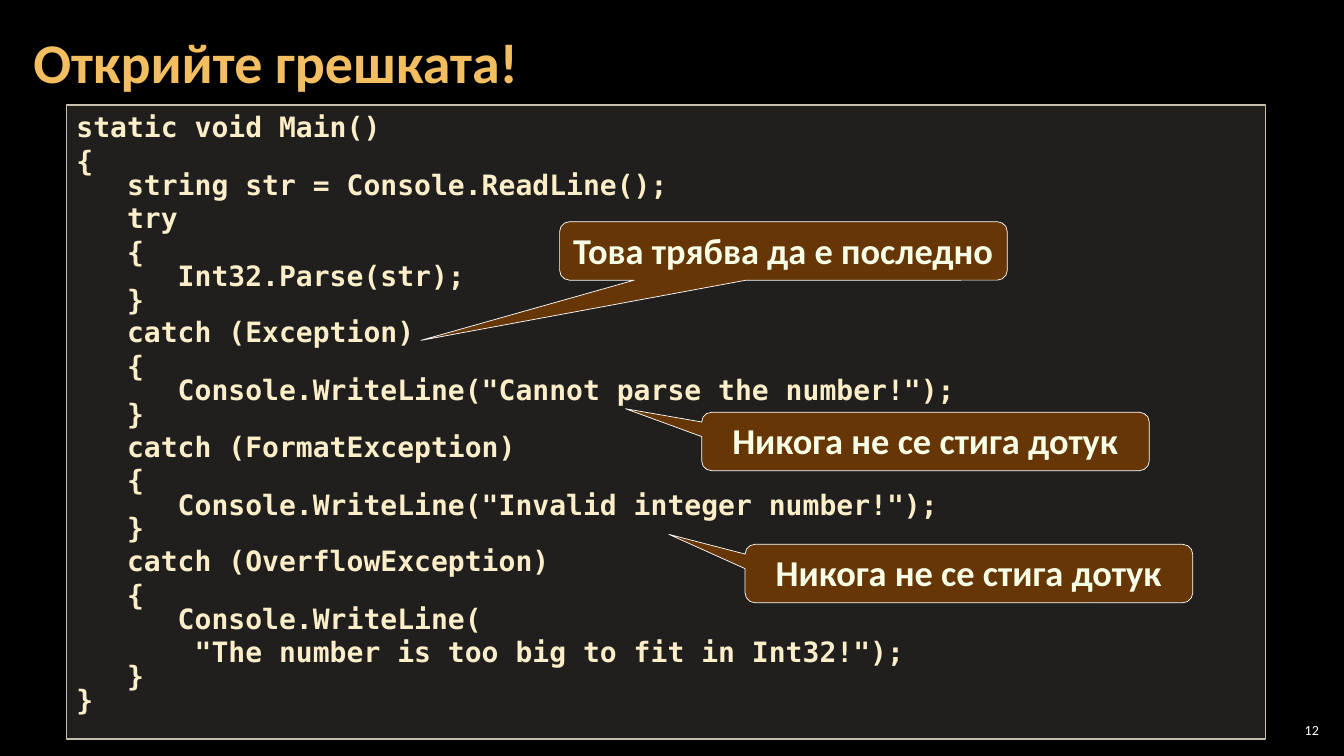
from dataclasses import dataclass

from lxml.etree import SubElement
from pptx import Presentation
from pptx.dml.color import RGBColor
from pptx.enum.shapes import MSO_SHAPE as Preset
from pptx.enum.text import MSO_ANCHOR as Anchor, MSO_AUTO_SIZE as AutoSize, PP_ALIGN as Align
from pptx.oxml.ns import qn
from pptx.util import Inches, Pt

SLIDE_WIDTH, SLIDE_HEIGHT = Inches(13.33), Inches(7.5)

TITLE_FONT = {"name": "Calibri", "size": Pt(40), "bold": True, "color": "F3BE60"}
CODE_FONT = {"name": "DejaVu Sans Mono", "size": Pt(20), "bold": True, "color": "FBEEC9"}
CALLOUT_FONT = {"name": "Calibri", "size": Pt(26), "bold": True, "color": "F7FFE7"}
NUMBER_FONT = {"name": "Calibri", "size": Pt(10), "bold": False, "color": "FFFFFF"}

CODE = """static void Main()
{
   string str = Console.ReadLine();
   try
   {
      Int32.Parse(str);
   }
   catch (Exception)
   {
      Console.WriteLine("Cannot parse the number!");
   }
   catch (FormatException)
   {
      Console.WriteLine("Invalid integer number!");
   }
   catch (OverflowException)
   {
      Console.WriteLine(
       "The number is too big to fit in Int32!");
   }
}"""


@dataclass
class Area:
    """Percentages of the slide's width and height."""
    left: float
    top: float
    width: float
    height: float

    def lengths(self):
        return (
            int(SLIDE_WIDTH * self.left / 100),
            int(SLIDE_HEIGHT * self.top / 100),
            int(SLIDE_WIDTH * self.width / 100),
            int(SLIDE_HEIGHT * self.height / 100),
        )


@dataclass
class Callout:
    text: str
    left: float
    top: float
    tip_x: float
    tip_y: float


CALLOUTS = [
    Callout("Това трябва да е последно", 41.64, 29.33, -0.81, 1.53),
    Callout("Никога не се стига дотук", 52.21, 54.53, -0.67, -0.56),
    Callout("Никога не се стига дотук", 55.44, 72, -0.67, -0.67),
]


def colour(value: str) -> RGBColor:
    return RGBColor.from_string(value)


def set_frame(box, anchor, auto_size, margins=(0.1, 0.05)) -> None:
    side, edge = map(Inches, margins)
    values = {
        "word_wrap": True, "vertical_anchor": anchor, "auto_size": auto_size,
        "margin_left": side, "margin_right": side, "margin_top": edge, "margin_bottom": edge,
    }
    for name, value in values.items():
        setattr(box.text_frame, name, value)


def write(para, text: str, font: dict, align=Align.LEFT, spacing=1.0) -> None:
    para.alignment, para.line_spacing = align, spacing
    span = para.add_run()
    span.text = text
    for name, value in font.items():
        if name == "color":
            span.font.color.rgb = colour(value)
        else:
            setattr(span.font, name, value)


def add_label(page, area: Area, text: str, font: dict, align, spacing, margins) -> None:
    box = page.shapes.add_textbox(*area.lengths())
    set_frame(box, Anchor.MIDDLE, AutoSize.NONE, margins)
    write(box.text_frame.paragraphs[0], text, font, align, spacing)


def add_panel(page, preset, area: Area, fill: str, line: str, line_width: float):
    box = page.shapes.add_shape(preset, *area.lengths())
    box.shadow.inherit = False
    box.fill.solid()
    box.fill.fore_color.rgb = colour(fill)
    box.line.color.rgb = colour(line)
    box.line.width = Pt(line_width)
    set_frame(box, Anchor.TOP, AutoSize.SHAPE_TO_FIT_TEXT)
    return box


def add_code(page) -> None:
    box = add_panel(page, Preset.RECTANGLE, Area(4.95, 13.87, 89.2, 83.87), "D9D5C7", "C7BFAC", 1)
    fill_colour = box.fill._xPr.find(qn("a:solidFill"))[0]
    SubElement(fill_colour, qn("a:alpha"), val="15000")
    frame = box.text_frame
    previous = ""
    for index, line in enumerate(CODE.splitlines()):
        para = frame.add_paragraph() if index else frame.paragraphs[0]
        tight = line.strip() == "}" or previous.strip() == "{"
        write(para, line, CODE_FONT, spacing=0.7 if tight else 1.0)
        previous = line


def add_callout(page, callout: Callout) -> None:
    area = Area(callout.left, callout.top, 33.31, 7.73)
    box = add_panel(page, Preset.ROUNDED_RECTANGULAR_CALLOUT, area, "663606", "FFFFFF", 0.5)
    for index, value in enumerate((callout.tip_x, callout.tip_y, 0.17)):
        box.adjustments[index] = value
    write(box.text_frame.paragraphs[0], callout.text, CALLOUT_FONT, Align.CENTER, Pt(30))


def main() -> None:
    deck = Presentation()
    deck.slide_width, deck.slide_height = SLIDE_WIDTH, SLIDE_HEIGHT
    page = deck.slides.add_slide(deck.slide_layouts[6])
    page.background.fill.solid()
    page.background.fill.fore_color.rgb = colour("000000")

    add_label(page, Area(1.58, 0.53, 96.85, 16.13), "Открийте грешката!",
              TITLE_FONT, Align.LEFT, 0.9, (0.12, 0.04))
    add_code(page)
    for callout in CALLOUTS:
        add_callout(page, callout)
    add_label(page, Area(94.9, 95.2, 3.53, 2.8), "12",
              NUMBER_FONT, Align.RIGHT, 1.0, (0.04, 0.04))
    deck.save("out.pptx")


if __name__ == "__main__":
    main()
